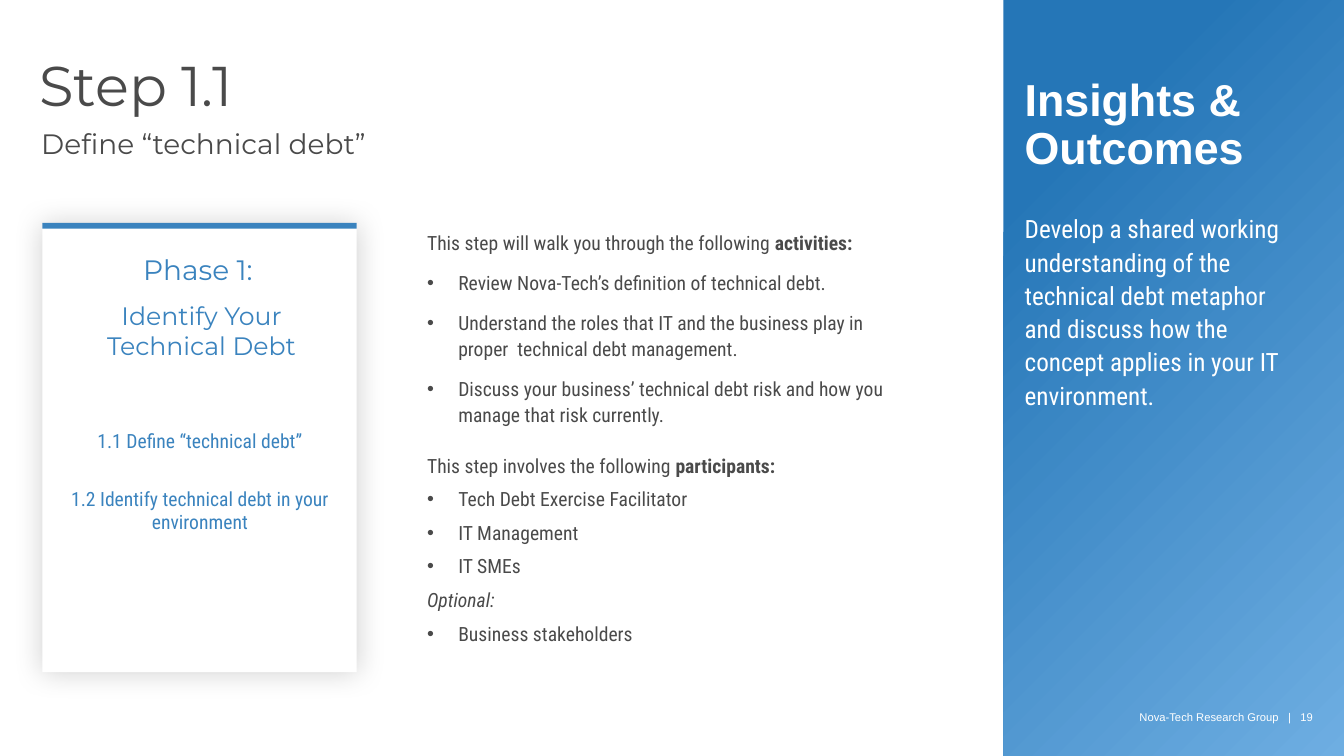
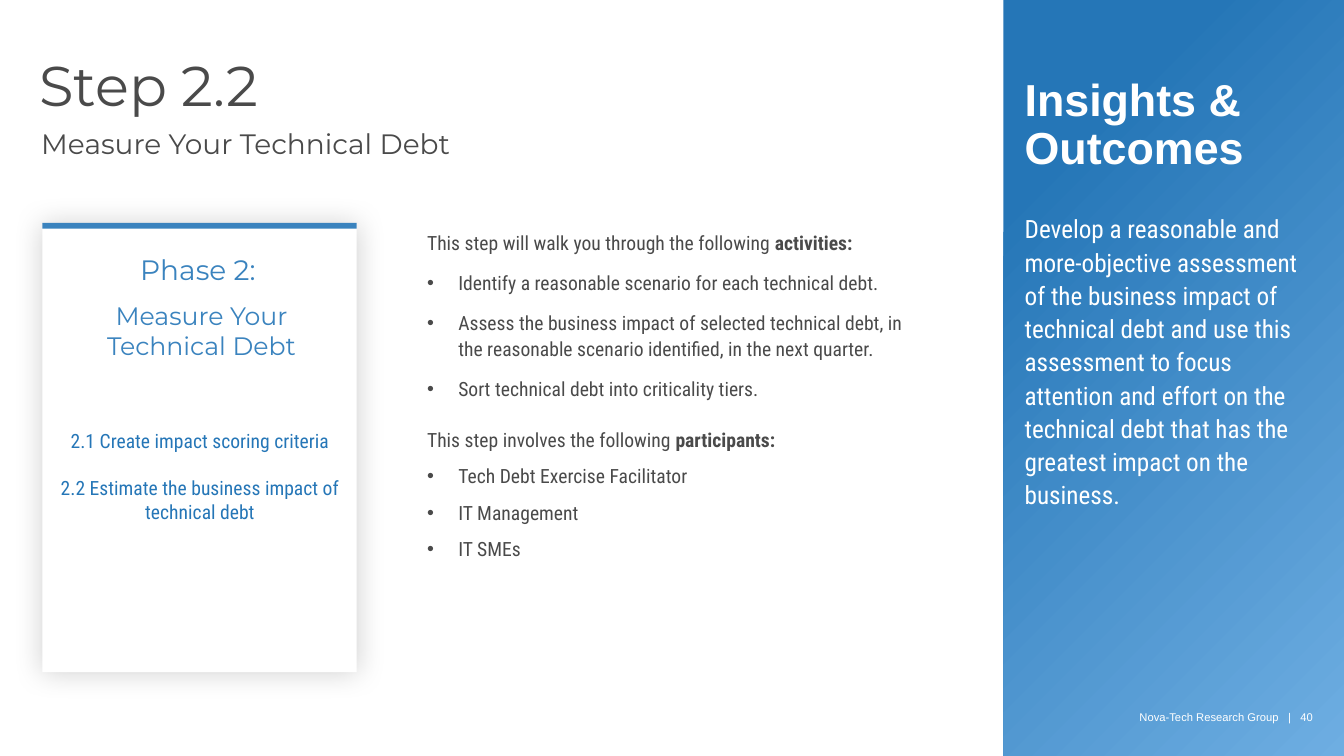
"""Build two step overview slides with a phase card, activities and an insights panel."""
from lxml.etree import SubElement
from pptx import Presentation
from pptx.dml.color import RGBColor
from pptx.enum.shapes import MSO_SHAPE
from pptx.enum.text import PP_ALIGN
from pptx.oxml.ns import qn
from pptx.util import Inches, Pt

WHITE = RGBColor(0xFF, 0xFF, 0xFF)
INK = RGBColor(0x4A, 0x4A, 0x4A)
BLUE = RGBColor(0x25, 0x76, 0xB7)
SOFT_BLUE = RGBColor(0x3A, 0x83, 0xBE)
LIGHT_BLUE = RGBColor(0x6E, 0xAE, 0xE2)
HEADING, BODY, PLAIN = "Montserrat", "Roboto Condensed", "Arial"
INDENT = Inches(0.31)

PANEL = (74.66, 0, 25.34, 100)
TITLE = (2.92, 7.73, 69.5, 7.6)
SUBTITLE = (3.07, 17.2, 48.5, 6.67)
INSIGHT_TITLE = (76.24, 10.27, 20.84, 6.93)
INSIGHT = (76.24, 27.87, 20.84, 47.07)
FOOTER = (72.19, 94, 25.49, 1.73)
CARD = (3.15, 29.6, 23.39, 59.33)
CARD_BAR = (3.15, 29.47, 23.39, 0.8)
PHASE = (4.5, 34.27, 21, 18.67)
CARD_STEPS = (4.27, 56.8, 21.21, 25.2)
ACTIVITIES = (31.78, 30.27, 35.83, 59.6)

STEPS = [
    {
        "title": "Step 1.1",
        "subtitle": "Define “technical debt”",
        "phase": "Phase 1: ",
        "phase_name": "Identify Your Technical Debt",
        "card_steps": ["1.1 Define “technical debt”",
                       "1.2 Identify technical debt in your environment"],
        "card_color": SOFT_BLUE,
        "card_gap": 24,
        "activities": [
            "Review Nova-Tech’s definition of technical debt.",
            "Understand the roles that IT and the business play in proper  technical debt management.",
            "Discuss your business’ technical debt risk and how you manage that risk currently.",
        ],
        "participant_gap": 8,
        "optional": ["Business stakeholders"],
        "insight": "Develop a shared working understanding of the technical debt metaphor "
                   "and discuss how the concept applies in your IT environment.",
        "page": 19,
    },
    {
        "title": "Step 2.2",
        "subtitle": "Measure Your Technical Debt",
        "phase": "Phase 2: ",
        "phase_name": "Measure Your Technical Debt",
        "card_steps": ["2.1 Create impact scoring criteria",
                       "2.2 Estimate the business impact of technical debt"],
        "card_color": BLUE,
        "card_gap": 16.5,
        "activities": [
            "Identify a reasonable scenario for each technical debt.",
            "Assess the business impact of selected technical debt, in the reasonable "
            "scenario identified, in the next quarter.",
            "Sort technical debt into criticality tiers.",
        ],
        "participant_gap": 10,
        "optional": [],
        "insight": "Develop a reasonable and more-objective assessment of the business impact "
                   "of technical debt and use this assessment to focus attention and effort on "
                   "the technical debt that has the greatest impact on the business.",
        "page": 40,
    },
]
PARTICIPANTS = ["Tech Debt Exercise Facilitator", "IT Management", "IT SMEs"]

presentation = Presentation()
presentation.slide_width = Inches(13.34)
presentation.slide_height = Inches(7.5)


def place(slide, box, color=None):
    """Add a rectangle, or a text box if no color is given, at shares (%) of the slide."""
    sizes = (presentation.slide_width, presentation.slide_height) * 2
    lengths = [round(share * size / 100) for share, size in zip(box, sizes)]
    if color is None:
        frame = slide.shapes.add_textbox(*lengths).text_frame
        frame.word_wrap = True
        frame.margin_left = frame.margin_top = frame.margin_right = frame.margin_bottom = 0
        return frame
    shape = slide.shapes.add_shape(MSO_SHAPE.RECTANGLE, *lengths)
    shape.shadow.inherit = False
    shape.fill.solid()
    shape.fill.fore_color.rgb = color
    shape.line.fill.background()
    return shape


def write(frame, text, size=14, font=BODY, color=INK, bold=False, italic=False, strong="",
          align=PP_ALIGN.LEFT, line=1.0, before=0, bullet=False):
    """Add a paragraph, with an optional bold ending, and return it."""
    first = not frame.paragraphs[0].runs
    paragraph = frame.paragraphs[0] if first else frame.add_paragraph()
    if bullet:
        properties = paragraph._p.get_or_add_pPr()
        properties.set("marL", str(INDENT))
        properties.set("indent", str(-INDENT))
        SubElement(properties, qn("a:buFont"), typeface=PLAIN)
        SubElement(properties, qn("a:buChar"), char="•")
    paragraph.alignment = align
    paragraph.line_spacing = line
    paragraph.space_before = Pt(0 if first else before)
    for part, heavy in ((text, bold), (strong, True)):
        if part:
            run = paragraph.add_run()
            run.text = part
            run.font.name, run.font.size = font, Pt(size)
            run.font.bold, run.font.italic = heavy, italic
            run.font.color.rgb = color
    return paragraph


for step in STEPS:
    slide = presentation.slides.add_slide(presentation.slide_layouts[6])

    panel = place(slide, PANEL, BLUE)
    panel.fill.gradient()
    panel.fill.gradient_angle = 315
    for stop, position, color in zip(panel.fill.gradient_stops, (0.19, 1), (BLUE, LIGHT_BLUE)):
        stop.position = position
        stop.color.rgb = color

    footer = write(place(slide, FOOTER), "Nova-Tech Research Group", size=8, font=PLAIN,
                   color=WHITE, align=PP_ALIGN.RIGHT)
    for text, spacing in ((" |", 440), (f" {step['page']}", 0)):
        run = footer.add_run()
        run.text = text
        run.font.name, run.font.size = PLAIN, Pt(8)
        run.font.color.rgb = WHITE
        run._r.get_or_add_rPr().set("spc", str(spacing))

    write(place(slide, TITLE), step["title"], size=40, font=HEADING, line=0.9)
    write(place(slide, SUBTITLE), step["subtitle"], size=20, font=HEADING, line=0.9)
    write(place(slide, INSIGHT_TITLE), "Insights & Outcomes", size=32, font=PLAIN,
          color=WHITE, bold=True, line=0.9)
    write(place(slide, INSIGHT), step["insight"], size=18, color=WHITE, line=1.1)

    card = place(slide, CARD, WHITE)
    effects = card._element.spPr.find(qn("a:effectLst"))
    shadow = SubElement(effects, qn("a:outerShdw"), blurRad=str(Pt(21)), dist="0", dir="0",
                        algn="ctr", rotWithShape="0")
    shadow_color = SubElement(shadow, qn("a:srgbClr"), val="000000")
    SubElement(shadow_color, qn("a:alpha"), val="19000")
    place(slide, CARD_BAR, SOFT_BLUE)

    phase = place(slide, PHASE)
    centred = {"align": PP_ALIGN.CENTER}
    write(phase, step["phase"], size=20, font=HEADING, color=SOFT_BLUE, line=0.8, **centred)
    write(phase, step["phase_name"], size=18, font=HEADING, color=SOFT_BLUE, before=10, **centred)
    card_steps = place(slide, CARD_STEPS)
    for text in step["card_steps"]:
        write(card_steps, text, color=step["card_color"], before=step["card_gap"], **centred)

    activities = place(slide, ACTIVITIES)
    write(activities, "This step will walk you through the following ", strong="activities:", line=1.1)
    for text in step["activities"]:
        write(activities, text, line=1.1, before=10, bullet=True)
    write(activities, "This step involves the following ", strong="participants:",
          line=1.1, before=18)
    tight = {"line": Pt(16), "before": step["participant_gap"]}
    for text in PARTICIPANTS:
        write(activities, text, bullet=True, **tight)
    if step["optional"]:
        write(activities, "Optional:", italic=True, **tight)
    for text in step["optional"]:
        write(activities, text, bullet=True, **tight)

presentation.save("out.pptx")
